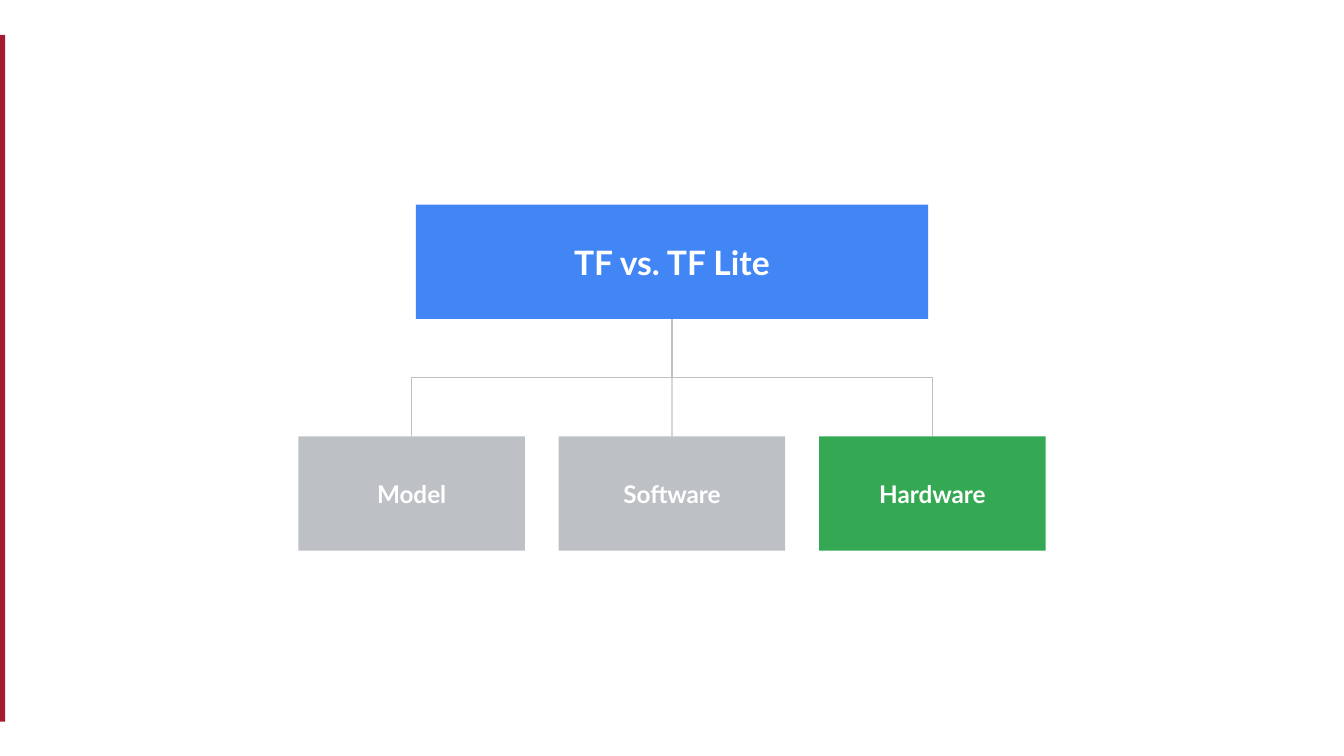
import lxml.etree
import pptx
import pptx.dml.color
import pptx.enum.shapes
import pptx.enum.text
import pptx.oxml.ns
import pptx.util

Cm = pptx.util.Cm
SHAPES = pptx.enum.shapes.MSO_SHAPE
CONNECTORS = pptx.enum.shapes.MSO_CONNECTOR
COLOURS = {
    "accent": "A51C30",
    "root": "4285F4",
    "muted": "BDC1C6",
    "active": "34A853",
    "text": "FFFFFF",
}
BRANCHES = [("Model", "muted"), ("Software", "muted"), ("Hardware", "active")]


def colour(name):
    """Return the named colour."""
    return pptx.dml.color.RGBColor.from_string(COLOURS[name])


def add_block(slide, kind, box, fill):
    """Add a flat filled shape without outline."""
    shape = slide.shapes.add_shape(kind, *[Cm(length) for length in box])
    shape.shadow.inherit = False
    shape.fill.solid()
    shape.fill.fore_color.rgb = colour(fill)
    shape.line.fill.background()
    return shape


def add_node(slide, box, label, fill, size):
    """Add a labelled node of the tree."""
    node = add_block(slide, SHAPES.ROUNDED_RECTANGLE, box, fill)
    node.adjustments[0] = 0
    frame = node.text_frame
    frame.word_wrap = True
    frame.vertical_anchor = pptx.enum.text.MSO_ANCHOR.MIDDLE
    frame.margin_left = frame.margin_right = Cm(0.25)
    frame.margin_top = frame.margin_bottom = Cm(0.25)
    paragraph = frame.paragraphs[0]
    paragraph.alignment = pptx.enum.text.PP_ALIGN.CENTER
    run = paragraph.add_run()
    run.text = label
    run.font.name = "Lato"
    run.font.size = pptx.util.Pt(size)
    run.font.bold = True
    run.font.color.rgb = colour("text")
    return node


def turn_elbow(connector, start_x, start_y, end_x, end_y):
    """Rotate an elbow so that it leaves and arrives vertically."""
    across, down = abs(end_x - start_x), end_y - start_y
    connector.left = (start_x + end_x - down) // 2
    connector.top = (start_y + end_y - across) // 2
    connector.width, connector.height = down, across
    transform = connector._element.spPr.find(pptx.oxml.ns.qn("a:xfrm"))
    rightward = end_x > start_x
    transform.set("rot", str((270 if rightward else 90) * 60000))
    transform.set("flipH", "1" if rightward else "0")
    transform.set("flipV", "0")


def connect(slide, parent, child):
    """Join the bottom of the parent to the top of the child."""
    start_x, start_y = parent.left + parent.width // 2, parent.top + parent.height
    end_x, end_y = child.left + child.width // 2, child.top
    straight = abs(end_x - start_x) < Cm(0.02)
    kind = CONNECTORS.STRAIGHT if straight else CONNECTORS.ELBOW
    connector = slide.shapes.add_connector(kind, start_x, start_y, end_x, end_y)
    connector.begin_connect(parent, 2)
    connector.end_connect(child, 0)
    if not straight:
        turn_elbow(connector, start_x, start_y, end_x, end_y)
    connector.line.color.rgb = colour("muted")
    connector.line.width = pptx.util.Pt(0.75)
    lxml.etree.SubElement(connector._element.spPr, pptx.oxml.ns.qn("a:effectLst"))


def add_tree(slide, left, top, width, height):
    """Draw the root above a row of evenly spaced branches."""
    node_height, gap, root_width = 2.16, 0.64, 9.68
    count = len(BRANCHES)
    branch_width = (width - gap * (count - 1)) / count
    branch_top = top + height - node_height
    children = []
    for index, (label, fill) in enumerate(BRANCHES):
        branch_left = left + index * (branch_width + gap)
        box = (branch_left, branch_top, branch_width, node_height)
        children.append(add_node(slide, box, label, fill, 13))
    root_box = (left + (width - root_width) / 2, top, root_width, node_height)
    root = add_node(slide, root_box, "TF vs. TF Lite", "root", 18)
    for child in children:
        connect(slide, root, child)


def main():
    """Build and save the slide."""
    presentation = pptx.Presentation()
    presentation.slide_width = Cm(25.4)
    presentation.slide_height = Cm(14.29)
    slide = presentation.slides.add_slide(presentation.slide_layouts[6])
    add_block(slide, SHAPES.RECTANGLE, (-0.05, 0.66, 0.15, 12.98), "accent")
    add_tree(slide, 5.64, 3.87, 14.12, 6.54)
    presentation.save("out.pptx")


if __name__ == "__main__":
    main()
